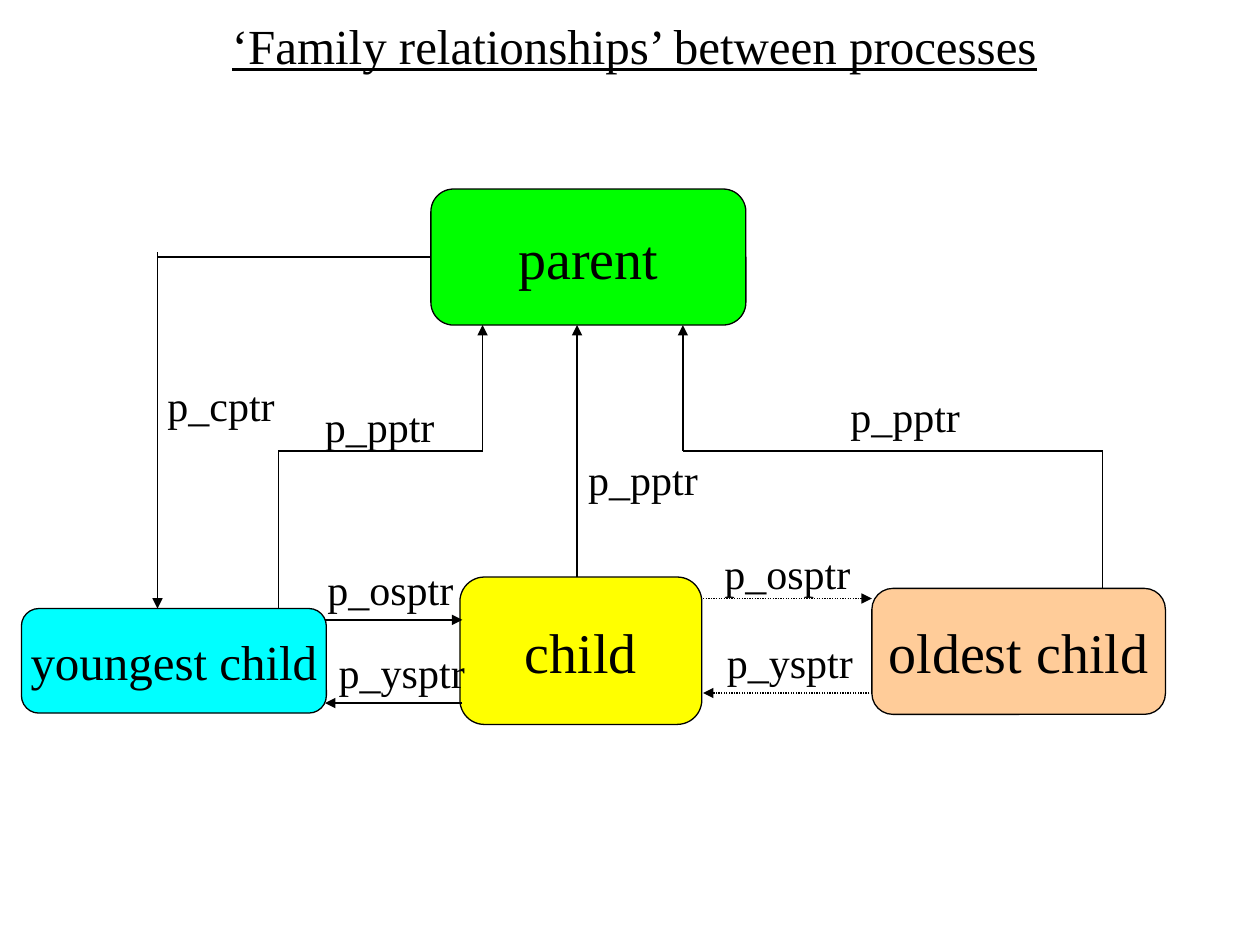
"""Builds a slide showing the pointers that link parent, child and sibling processes."""
from lxml import etree
from pptx import Presentation
from pptx import util as u
from pptx.dml.color import RGBColor
from pptx.enum import dml, shapes, text
from pptx.oxml.ns import qn

FONT, BLACK = "Times New Roman", "000000"
TITLE = ("‘Family relationships’ between processes", (1.74, 0.07, 6.61, 0.57))
PROCESSES = [
    ("parent", (3.42, 1.5, 2.5, 1.08), "00FF00", 32),
    ("youngest child", (0.17, 4.83, 2.42, 0.83), "00FFFF", 28),
    ("child", (3.65, 4.58, 1.92, 1.17), "FFFF00", 32),
    ("oldest child", (6.92, 4.67, 2.33, 1), "FFCC99", 32),
]
ARROWS = [
    ([(1.25, 2), (1.25, 4.83)], False),
    ([(2.21, 4.83), (2.21, 3.58), (3.83, 3.58), (3.83, 2.58)], False),
    ([(4.58, 4.58), (4.58, 2.58)], False),
    ([(8.75, 4.67), (8.75, 3.58), (5.42, 3.58), (5.42, 2.58)], False),
    ([(2.58, 4.92), (3.67, 4.92)], False),
    ([(3.67, 5.58), (2.58, 5.58)], False),
    ([(5.58, 4.75), (6.92, 4.75)], True),
    ([(6.92, 5.5), (5.58, 5.5)], True),
]
LABEL_WIDTHS = {"p_cptr": 1.05, "p_pptr": 1.07, "p_osptr": 1.2, "p_ysptr": 1.2}
LABELS = [
    ("p_cptr", 1.23, 2.96), ("p_pptr", 2.48, 3.13), ("p_pptr", 4.57, 3.55),
    ("p_pptr", 6.65, 3.05), ("p_osptr", 5.65, 4.3), ("p_ysptr", 5.67, 5),
    ("p_osptr", 2.5, 4.42), ("p_ysptr", 2.59, 5.08),
]


def rgb(value):
    return RGBColor.from_string(value)


def inches(values):
    return [u.Inches(v) for v in values]


def write(sp, words, size=24, align=text.PP_ALIGN.LEFT, anchor=text.MSO_ANCHOR.TOP,
          fit=text.MSO_AUTO_SIZE.NONE, underline=None):
    tf = sp.text_frame
    tf.word_wrap, tf.auto_size, tf.vertical_anchor = False, fit, anchor
    p = tf.paragraphs[0]
    p.alignment = align
    r = p.add_run()
    r.text = words
    r.font.name, r.font.size, r.font.underline = FONT, u.Pt(size), underline
    r.font.color.rgb = rgb(BLACK)


def outline(sp):
    sp.line.color.rgb = rgb(BLACK)
    sp.line.width = u.Pt(0.75)


def add_process(s, name, box, fill, size):
    sp = s.shapes.add_shape(shapes.MSO_SHAPE.ROUNDED_RECTANGLE, *inches(box))
    sp.shadow.inherit = False
    sp.fill.solid()
    sp.fill.fore_color.rgb = rgb(fill)
    outline(sp)
    write(sp, name, size=size, align=text.PP_ALIGN.CENTER, anchor=text.MSO_ANCHOR.MIDDLE)
    return sp


def add_line(s, start, end, head=False, dotted=False):
    line = s.shapes.add_connector(shapes.MSO_CONNECTOR.STRAIGHT, *inches(start + end))
    outline(line)
    if dotted:
        line.line.dash_style = dml.MSO_LINE.ROUND_DOT
    sp_pr = line._element.spPr
    if head:
        etree.SubElement(sp_pr.find(qn("a:ln")), qn("a:tailEnd"), type="triangle")
    etree.SubElement(sp_pr, qn("a:effectLst"))
    return line


def main():
    prs = Presentation()
    prs.slide_width, prs.slide_height = u.Inches(10), u.Inches(7.5)
    s = prs.slides.add_slide(prs.slide_layouts[5])

    words, box = TITLE
    title = s.shapes.title
    title.left, title.top, title.width, title.height = inches(box)
    write(title, words, size=28, underline=True)

    boxes = {process[0]: add_process(s, *process) for process in PROCESSES}
    add_line(s, (3.42, 2.04), (1.25, 2.04)).begin_connect(boxes["parent"], 1)
    for points, dotted in ARROWS:
        for start, end in zip(points, points[1:]):
            add_line(s, start, end, head=end == points[-1], dotted=dotted)

    for words, left, top in LABELS:
        label = s.shapes.add_textbox(*inches((left, top, LABEL_WIDTHS[words], 0.5)))
        write(label, words, fit=text.MSO_AUTO_SIZE.SHAPE_TO_FIT_TEXT)

    prs.save("out.pptx")


if __name__ == "__main__":
    main()
